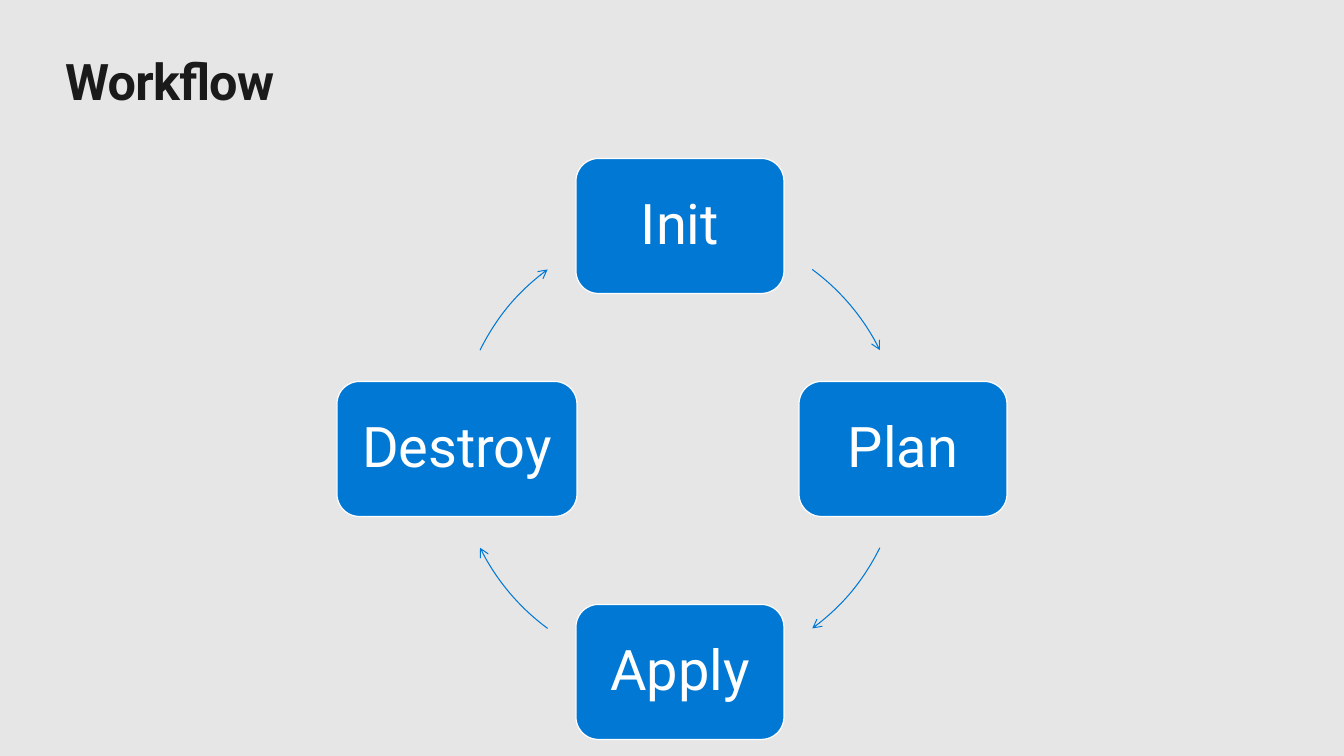
from lxml.etree import SubElement
from pptx import Presentation
from pptx.dml.color import RGBColor
from pptx.enum.shapes import MSO_SHAPE
from pptx.enum.text import MSO_ANCHOR, PP_ALIGN
from pptx.oxml.ns import qn
from pptx.util import Pt

PX = 914400 / 100.8
BACKGROUND = RGBColor(0xE6, 0xE6, 0xE6)
INK = RGBColor(0x1A, 0x1A, 0x1A)
BLUE = RGBColor(0x00, 0x78, 0xD4)
WHITE = RGBColor(0xFF, 0xFF, 0xFF)
FONT = "Roboto"

CYCLE_X, CYCLE_Y, RADIUS = 680, 449, 223
STEP_HEIGHT = 135
STEPS = [
    ("Init", 0, -1, 208, 306.4, 333.7),
    ("Plan", 1, 0, 208, 26.3, 53.6),
    ("Apply", 0, 1, 208, 126.4, 153.7),
    ("Destroy", -1, 0, 240, 206.3, 233.6),
]


def px(length):
    return round(length * PX)


def box(left, top, width, height):
    return px(left), px(top), px(width), px(height)


def style_text(paragraph, size, color, bold, alignment):
    paragraph.alignment = alignment
    font = paragraph.font
    font.name = FONT
    font.size = Pt(size)
    font.bold = bold
    font.color.rgb = color


def set_title(slide, wording):
    heading = slide.shapes.title
    heading.left, heading.top, heading.width, heading.height = box(65, 50, 1215, 61)
    frame = heading.text_frame
    frame.margin_left = frame.margin_right = 0
    frame.margin_top = frame.margin_bottom = 0
    frame.vertical_anchor = MSO_ANCHOR.TOP
    frame.text = wording
    paragraph = frame.paragraphs[0]
    style_text(paragraph, 36, INK, True, PP_ALIGN.LEFT)
    paragraph.runs[0].font._element.set("spc", "-50")


def add_step(slide, label, center_x, center_y, width):
    step = slide.shapes.add_shape(
        MSO_SHAPE.ROUNDED_RECTANGLE,
        *box(center_x - width / 2, center_y - STEP_HEIGHT / 2, width, STEP_HEIGHT),
    )
    step.shadow.inherit = False
    step.fill.solid()
    step.fill.fore_color.rgb = BLUE
    step.line.color.rgb = WHITE
    step.line.width = Pt(0.85)
    frame = step.text_frame
    frame.word_wrap = True
    frame.margin_left = frame.margin_right = px(17)
    frame.margin_top = frame.margin_bottom = px(17)
    frame.vertical_anchor = MSO_ANCHOR.MIDDLE
    frame.text = label
    paragraph = frame.paragraphs[0]
    paragraph.line_spacing = 0.9
    style_text(paragraph, 40, WHITE, False, PP_ALIGN.CENTER)


def add_cycle_arrow(slide, start_degrees, end_degrees):
    arrow = slide.shapes.add_shape(
        MSO_SHAPE.ARC,
        *box(CYCLE_X - RADIUS, CYCLE_Y - RADIUS, 2 * RADIUS, 2 * RADIUS),
    )
    arrow.adjustments[0] = start_degrees * 0.6
    arrow.adjustments[1] = end_degrees * 0.6
    arrow.shadow.inherit = False
    arrow.fill.background()
    arrow.line.color.rgb = BLUE
    arrow.line.width = Pt(0.75)
    outline = arrow.line._get_or_add_ln()
    SubElement(outline, qn("a:tailEnd"), type="arrow")


def main():
    deck = Presentation()
    deck.slide_width, deck.slide_height = px(1344), px(756)
    slide = deck.slides.add_slide(deck.slide_layouts[5])
    slide.background.fill.solid()
    slide.background.fill.fore_color.rgb = BACKGROUND
    set_title(slide, "Workflow")
    for label, across, down, width, start, end in STEPS:
        add_step(slide, label, CYCLE_X + across * RADIUS, CYCLE_Y + down * RADIUS, width)
        add_cycle_arrow(slide, start, end)
    deck.save("out.pptx")


if __name__ == "__main__":
    main()
